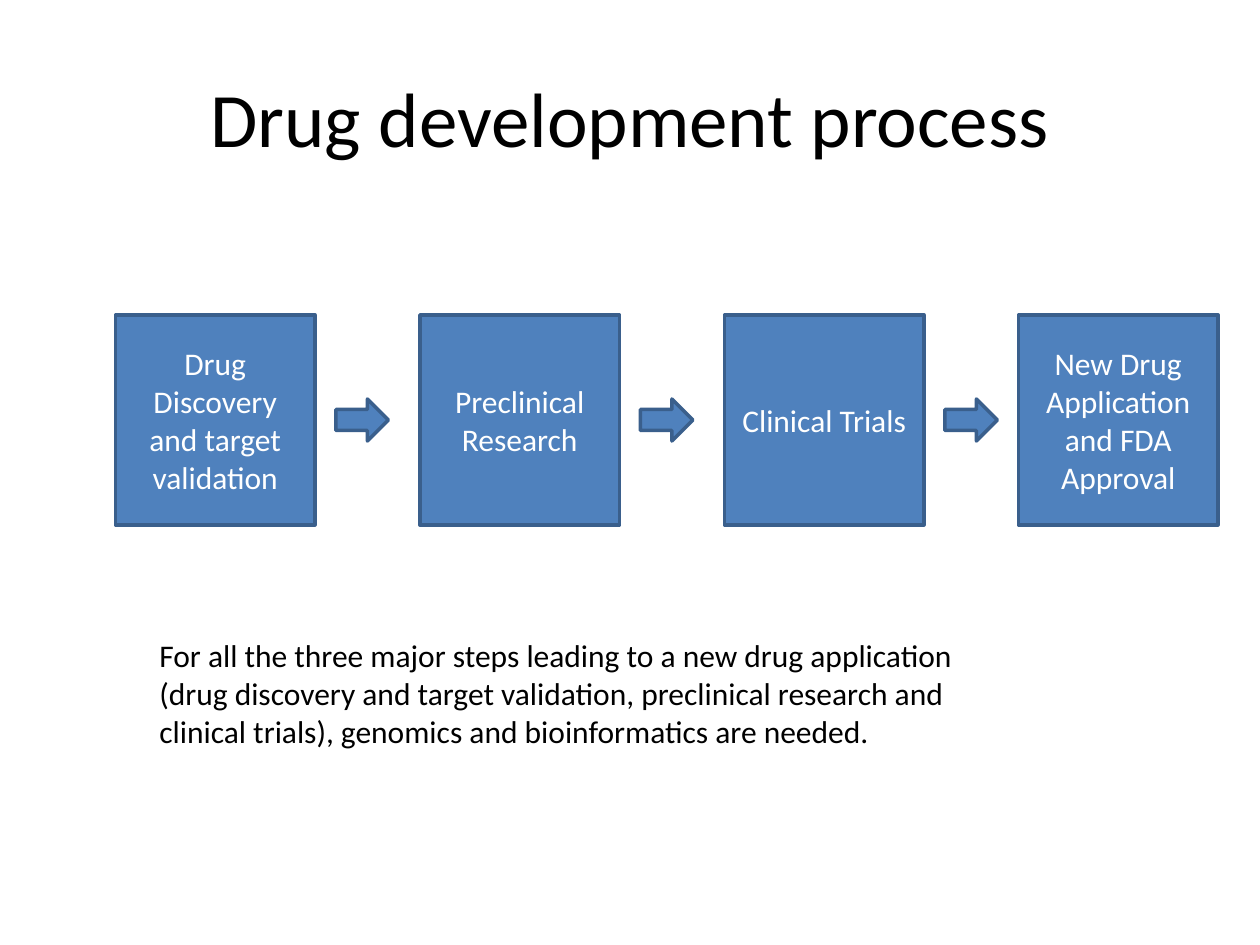
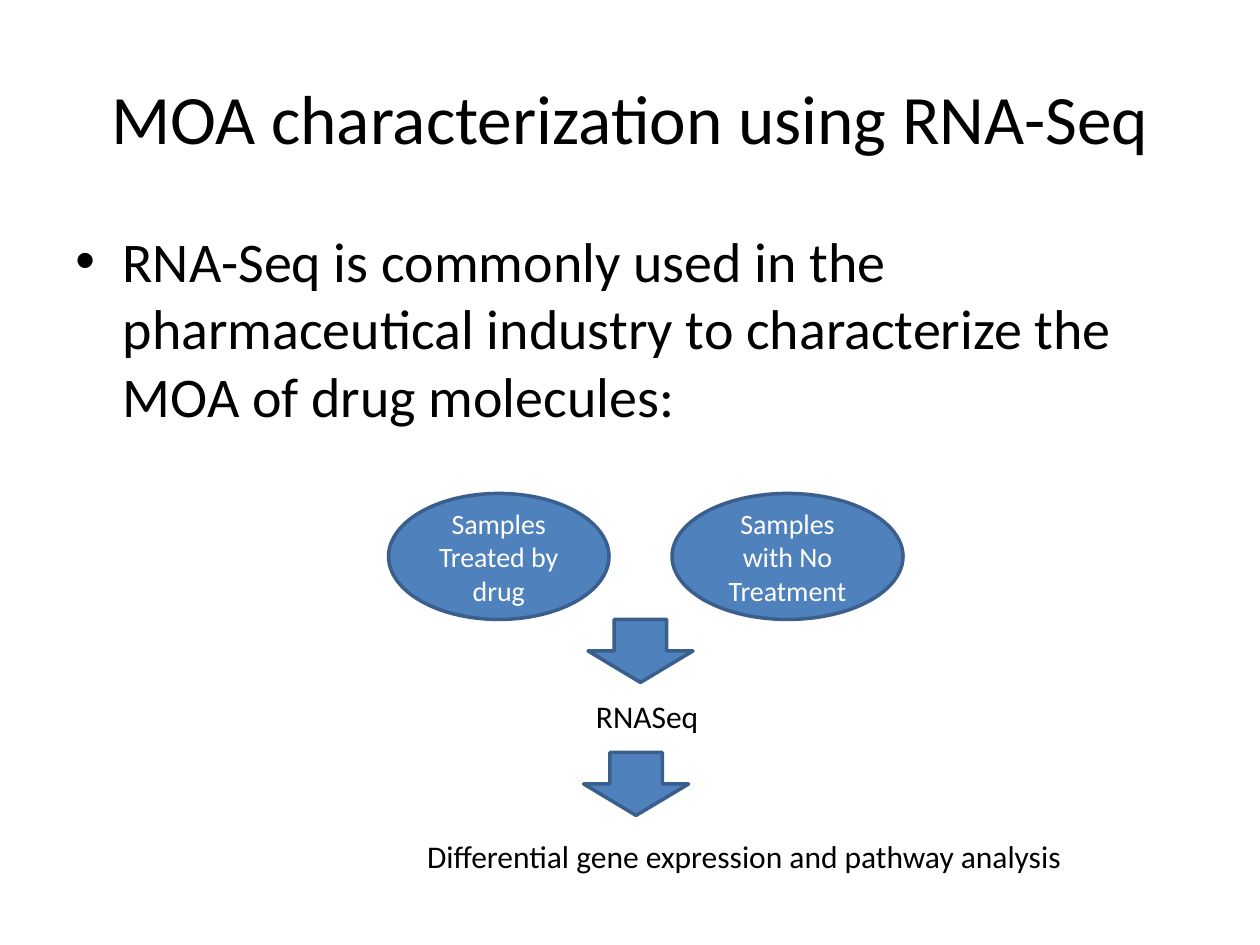
from pptx import Presentation
from pptx import util as u
from pptx.dml import color
from pptx.enum import shapes, text
from pptx.oxml import ns
from lxml import etree

HUES = {"ink": "000000", "paper": "FFFFFF", "fill": "4F81BD", "edge": "3A5F8C"}
KIND = shapes.MSO_SHAPE
MID = {"vertical_anchor": text.MSO_ANCHOR.MIDDLE}
MIDST = {"alignment": text.PP_ALIGN.CENTER}
STEPS = {
    66: "Drug Discovery and target validation",
    240: "Preclinical Research",
    414: "Clinical Trials",
    582: "New Drug Application and FDA Approval",
}


def hue(name):
    """Return the named colour."""
    return color.RGBColor.from_string(HUES[name])


def style(item, **values):
    """Set each given value on an item."""
    for key, value in values.items():
        setattr(item, key, value)


def write(frame, lines, size, ink="ink", align=None, **form):
    """Fill a text frame, one paragraph for each line."""
    style(frame, word_wrap=True, **form)
    frame.text = lines
    for para in frame.paragraphs:
        style(para, **(align or {}))
        style(para.font, name="Calibri", size=u.Pt(size))
        para.font.color.rgb = hue(ink)


def label(slide, box, lines, size=18, align=None, **form):
    """Add a text box and return its frame."""
    frame = slide.shapes.add_textbox(*map(u.Pt, box)).text_frame
    write(frame, lines, size, align=align, **form)
    return frame


def title(slide, words, size=44):
    """Add the slide title."""
    label(slide, (36, 21.6, 648, 90), words, size, MIDST, **MID)


def bullet(slide, box, words, size):
    """Add a text box with a hanging bullet."""
    frame = label(slide, box, words, size)
    props = frame.paragraphs[0]._p.get_or_add_pPr()
    props.set("marL", str(u.Pt(27)))
    props.set("indent", str(-u.Pt(27)))
    font = etree.SubElement(props, ns.qn("a:buFont"))
    font.set("typeface", "Arial")
    mark = etree.SubElement(props, ns.qn("a:buChar"))
    mark.set("char", "•")


def block(slide, kind, box, lines="", size=18):
    """Add a filled, outlined shape with centred text."""
    shape = slide.shapes.add_shape(kind, *map(u.Pt, box))
    shape.shadow.inherit = False
    shape.fill.solid()
    shape.fill.fore_color.rgb = hue("fill")
    shape.line.color.rgb = hue("edge")
    shape.line.width = u.Pt(2)
    if lines:
        write(shape.text_frame, lines, size, "paper", MIDST, **MID)


def stages(slide):
    """Draw the drug development steps."""
    title(slide, "Drug development process")
    for left, words in STEPS.items():
        block(slide, KIND.RECTANGLE, (left, 180, 114, 120), words)
    for left in list(STEPS)[:-1]:
        block(slide, KIND.RIGHT_ARROW, (left + 126, 228, 30, 24))
    label(slide, (84, 360, 510, 72.7),
          "For all the three major steps leading to a new drug application "
          "(drug discovery and target validation, preclinical research and "
          "clinical trials), genomics and bioinformatics are needed.")


def assay(slide):
    """Draw the sequencing workflow."""
    title(slide, "MOA characterization using RNA-Seq", 39.6)
    bullet(slide, (36, 126, 648, 132),
           "RNA-Seq is commonly used in the pharmaceutical industry to "
           "characterize the MOA of drug molecules:", 32)
    for left, width, words in (
        (222, 126, "Samples\nTreated by drug"),
        (384, 132, "Samples with No Treatment"),
    ):
        block(slide, KIND.OVAL, (left, 282, width, 72), words, 16)
    for left, top in ((336, 354), (333.5, 430)):
        block(slide, KIND.DOWN_ARROW, (left, top, 60, 36))
    label(slide, (333.5, 394.5, 294, 29), "RNASeq")
    label(slide, (237, 475, 441, 29),
          "Differential gene expression and pathway analysis")


def main():
    """Build and save the slides."""
    deck = Presentation()
    style(deck, slide_width=u.Pt(720), slide_height=u.Pt(540))
    for draw in (stages, assay):
        draw(deck.slides.add_slide(deck.slide_layouts[6]))
    deck.save("out.pptx")


if __name__ == "__main__":
    main()
